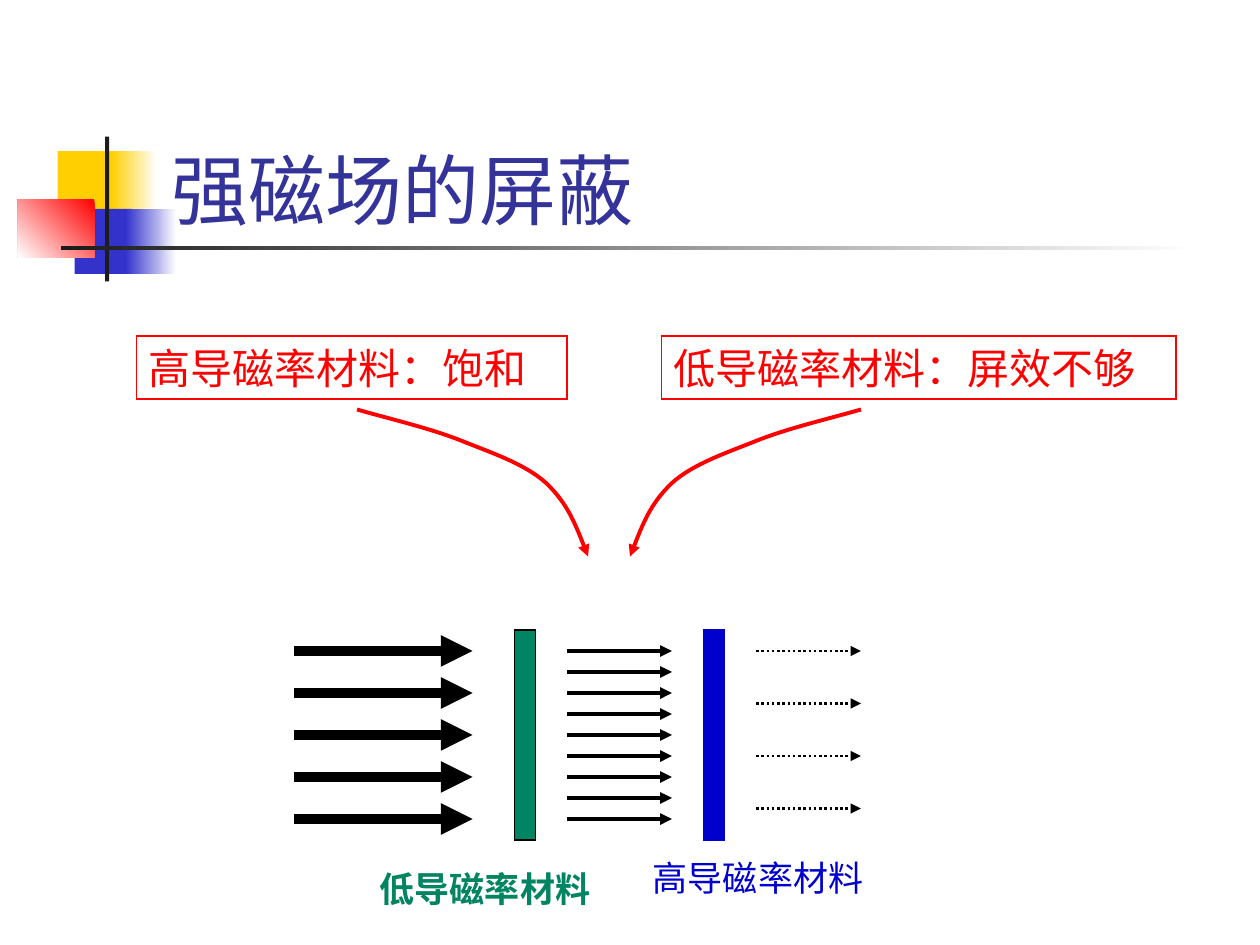
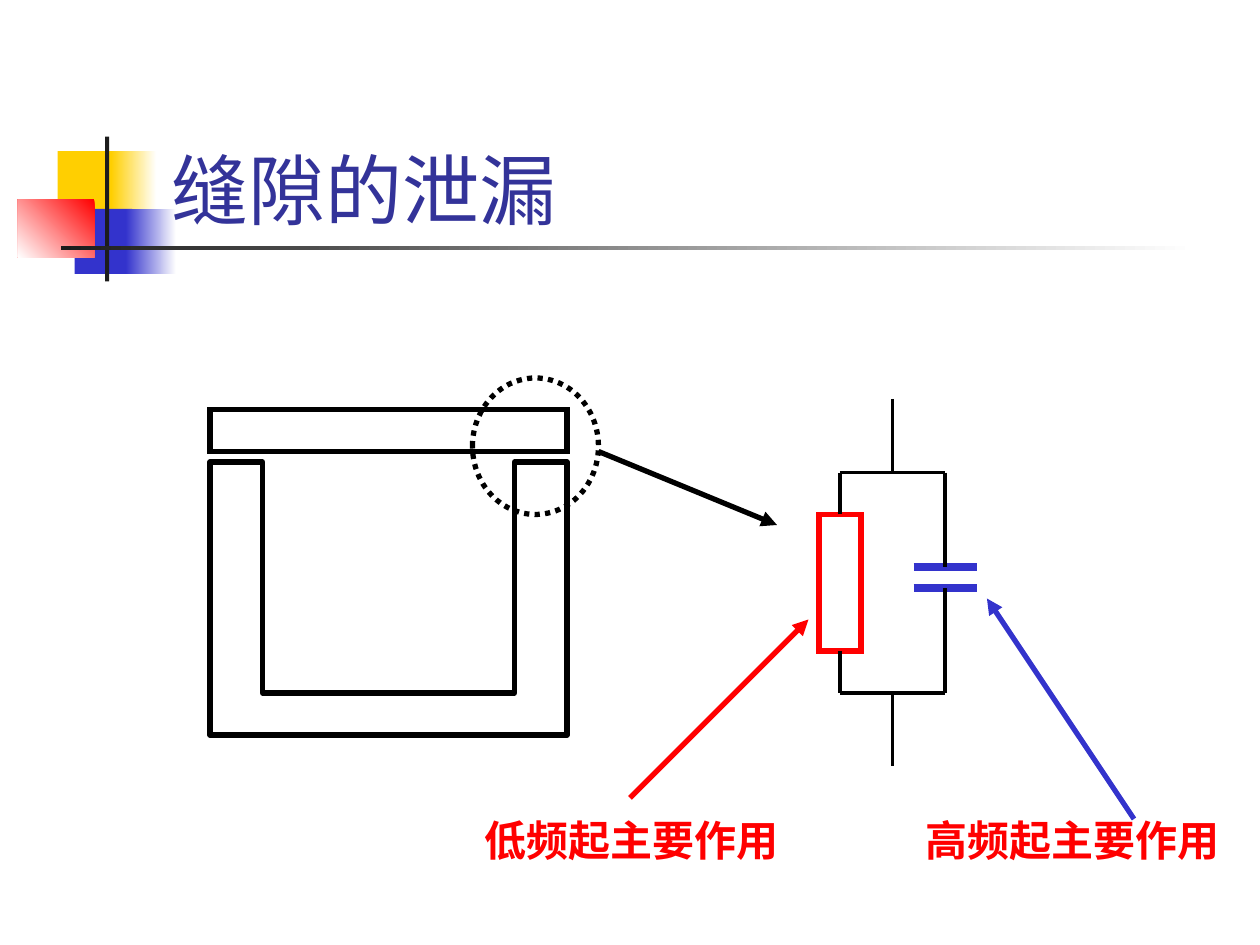
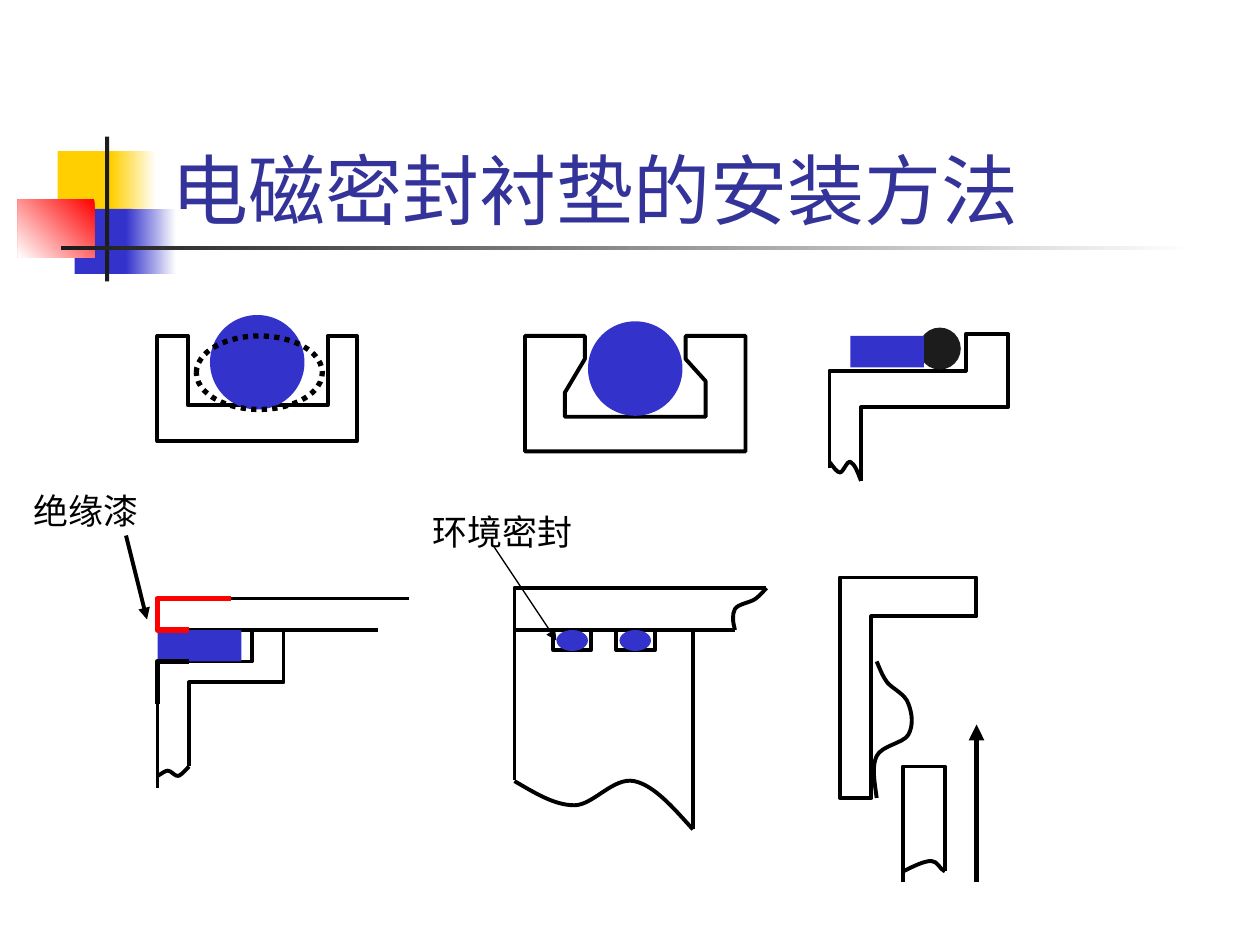
import lxml.etree
import pptx
import pptx.dml.color
import pptx.enum.dml
import pptx.enum.shapes
import pptx.enum.text
import pptx.oxml.ns
import pptx.util

# Grid: the slide is 120 columns by 90 rows
WIDTH, HEIGHT = pptx.util.Inches(10), pptx.util.Inches(7.5)
COLUMNS = 120
CELL = WIDTH // COLUMNS

BLACK, WHITE, RED, BLUE = "000000", "FFFFFF", "FF0000", "3333CC"
YELLOW, CHARCOAL, NAVY = "FFCF01", "1C1C1C", "333399"
GREEN, ROYAL = "008461", "0000CC"
HEADING_FONT, NOTE_FONT = "Cabin", "Times New Roman"

RECT = pptx.enum.shapes.MSO_SHAPE.RECTANGLE
OVAL = pptx.enum.shapes.MSO_SHAPE.OVAL
STRAIGHT = pptx.enum.shapes.MSO_CONNECTOR.STRAIGHT
DOTTED = pptx.enum.dml.MSO_LINE.ROUND_DOT
TOP, BOTTOM = 0, 2
qn = pptx.oxml.ns.qn


def cells(*counts):
    return [round(count * CELL) for count in counts]


def paint(target, colour):
    target.rgb = pptx.dml.color.RGBColor.from_string(colour)


def set_all(target, values):
    for name, value in values.items():
        setattr(target, name, value)


def style_line(shape, colour, width, dash=None, join="a:round", arrow=False):
    if colour is None:
        shape.line.fill.background()
        return
    shape.line.fill.solid()
    paint(shape.line.fill.fore_color, colour)
    shape.line.width = pptx.util.Pt(width)
    if dash:
        shape.line.dash_style = dash
    outline = shape.line._get_or_add_ln()
    lxml.etree.SubElement(outline, qn(join))
    if arrow:
        lxml.etree.SubElement(outline, qn("a:tailEnd"), type="triangle")


def write(frame, text, colour, size, font=HEADING_FONT, bold=False, anchor="TOP"):
    set_all(frame, {
        "word_wrap": True,
        "auto_size": pptx.enum.text.MSO_AUTO_SIZE.NONE,
        "vertical_anchor": pptx.enum.text.MSO_ANCHOR[anchor],
        "margin_left": pptx.util.Inches(0.1),
        "margin_right": pptx.util.Inches(0.1),
        "margin_top": pptx.util.Inches(0.05),
        "margin_bottom": pptx.util.Inches(0.05),
    })
    frame.text = text
    paragraph = frame.paragraphs[0]
    paragraph.alignment = pptx.enum.text.PP_ALIGN.LEFT
    set_all(paragraph.font, {"name": font, "size": pptx.util.Pt(size), "bold": bold})
    paint(paragraph.font.color, colour)


class Region:
    """Draws on a slide in grid cells counted from the region's own corner."""

    def __init__(self, slide, column=0, row=0):
        self.shapes = slide.shapes
        self.column, self.row = column, row

    def place(self, column, row):
        return cells(self.column + column, self.row + row)

    def block(self, box, fill=None, line=None, width=0.75, dash=None, kind=RECT):
        shape = self.shapes.add_shape(kind, *self.place(*box[:2]), *cells(*box[2:]))
        shape.shadow.inherit = False
        if fill:
            shape.fill.solid()
            paint(shape.fill.fore_color, fill)
        else:
            shape.fill.background()
        style_line(shape, line, width, dash, "a:miter")
        return shape

    def fade(self, box, start, end, angle=0):
        shape = self.block(box)
        shape.fill.gradient()
        shape.fill.gradient_angle = angle
        for stop, colour in zip(shape.fill.gradient_stops, (start, end)):
            paint(stop.color, colour)
        return shape

    def outline(self, points, colour=BLACK, width=2.25, close=False, curved=False,
                arrow=False):
        start, *rest = [self.place(*point) for point in points]
        builder = self.shapes.build_freeform(*start, scale=1.0)
        builder.add_line_segments(rest, close=close)
        shape = builder.convert_to_shape()
        shape.shadow.inherit = False
        shape.fill.background()
        style_line(shape, colour, width, arrow=arrow)
        if curved:
            bend(shape)
        return shape

    def curve(self, points, **style):
        return self.outline(points, curved=True, **style)

    def line(self, start, end, colour=BLACK, width=2.25, dash=None, arrow=False):
        connector = self.shapes.add_connector(
            STRAIGHT, *self.place(*start), *self.place(*end))
        style_line(connector, colour, width, dash, arrow=arrow)
        lxml.etree.SubElement(connector._element.spPr, qn("a:effectLst"))
        return connector

    def label(self, box, text, colour, size, **style):
        textbox = self.shapes.add_textbox(*self.place(*box[:2]), *cells(*box[2:]))
        write(textbox.text_frame, text, colour, size, **style)


def bend(shape):
    """Turn every three line segments into one Bezier segment."""
    segments = list(shape._element.iter(qn("a:lnTo")))
    for first in range(0, len(segments), 3):
        parent = segments[first].getparent()
        bezier = lxml.etree.SubElement(parent, qn("a:cubicBezTo"))
        for segment in segments[first:first + 3]:
            bezier.append(segment[0])
            parent.remove(segment)


# Shared parts
def decorate_master(presentation, slide):
    """Draw the corner squares and the title rule, then move them to the master."""
    corner = Region(slide)
    parts = [
        corner.block((5.5, 14.4, 5.8, 6.2), YELLOW),
        corner.fade((10.6, 14.4, 4.3, 6.2), YELLOW, WHITE),
        corner.block((7.1, 19.9, 5.5, 6.2), BLUE),
        corner.fade((12, 19.9, 4.8, 6.2), BLUE, WHITE),
        corner.fade((1.7, 19, 7.3, 5.5), RED, WHITE, 225),
        corner.block((10, 13, 0.4, 13.8), CHARCOAL),
        corner.fade((5.8, 23.4, 108, 0.4), CHARCOAL, WHITE),
    ]
    master = presentation.slide_master
    for index, part in enumerate(parts, start=2):
        master.shapes._spTree.insert(index, part._element)


def add_slide(presentation, title):
    slide = presentation.slides.add_slide(presentation.slide_layouts[5])
    heading = slide.shapes.title
    set_all(heading, dict(zip(("left", "top", "width", "height"),
                              cells(15.1, 8, 102.2, 15))))
    write(heading.text_frame, title, NAVY, 44, anchor="BOTTOM")
    return slide


# Slide 1
def draw_callouts(region):
    for box, text in (((0, 0, 41, 6), "高导磁率材料：饱和"),
                      ((50, 0, 49, 6), "低导磁率材料：屏效不够")):
        callout = region.block(box, line=RED)
        write(callout.text_frame, text, RED, 24)
    pointer = [(21, 7), (24.5, 8), (28, 8.8), (31, 10), (34, 11.2),
               (37, 12.2), (39, 14), (41, 15.9), (42, 18.4), (43, 21)]
    mirrored = [(90 - column, row) for column, row in pointer]
    for points in (pointer, mirrored):
        region.curve(points, colour=RED, arrow=True)


def draw_shields(region):
    region.block((21, 0, 2, 20), GREEN, BLACK)
    region.block((39, 0, 2, 20), ROYAL, ROYAL)
    # Field lines: start, end, count, row step, width, dash
    for start, end, count, step, width, dash in (
            (0, 17, 5, 4, 6, None), (26, 36, 9, 2, 2.25, None),
            (44, 54, 4, 5, 1.5, DOTTED)):
        for index in range(count):
            row = 2 + index * step
            region.line((start, row), (end, row), width=width, dash=dash, arrow=True)
    region.label((7, 22, 24, 5.3), "低导磁率材料", GREEN, 20, bold=True)
    region.label((33, 21, 24, 5.3), "高导磁率材料", ROYAL, 20)


# Slide 2
def draw_enclosure(region):
    region.outline([(5, 5), (0, 5), (0, 31), (34, 31), (34, 5), (29, 5),
                    (29, 27), (5, 27)], width=3, close=True)
    region.block((0, 0, 34, 4), line=BLACK, width=3)
    region.block((25, -3, 12, 13), line=BLACK, width=3, dash=DOTTED, kind=OVAL)
    region.line((37, 4), (54, 11), width=3, arrow=True)


def draw_circuit(region):
    resistor = region.block((0, 11, 4, 13), line=RED, width=3)
    for row in (16, 18):
        region.line((9, row), (15, row), BLUE, 4.5)
    for start, end in (((12, 7), (12, 16)), ((12, 18), (12, 28)),
                       ((2, 7), (12, 7)), ((2, 28), (12, 28)),
                       ((7, 0), (7, 7)), ((7, 28), (7, 35))):
        region.line(start, end)
    for side, start, end in ((TOP, 11, 7), (BOTTOM, 24, 28)):
        region.line((2, start), (2, end)).begin_connect(resistor, side)


def draw_frequency_notes(region):
    for column, text in ((0, "低频起主要作用"), (42, "高频起主要作用")):
        region.label((column, 0, 32, 6), text, RED, 24, bold=True)
    region.line((15, -1), (32, -18), RED, 3, arrow=True)
    region.line((63, 1), (49, -20), BLUE, 3, arrow=True)


# Slide 3
def draw_groove(region):
    region.outline([(0, 0), (0, 10), (19, 10), (19, 0), (16.2, 0), (16.2, 6.6),
                    (2.9, 6.6), (2.9, 0)], close=True)
    region.block((5, -2, 9, 9), BLUE, kind=OVAL)
    region.block((3.7, 0, 12, 7), line=BLACK, width=3, dash=DOTTED, kind=OVAL)


def draw_dovetail(region):
    region.outline([(0, 0), (0, 11), (21, 11), (21, 0), (15.3, 0), (15.3, 2.2),
                    (17.2, 4.3), (17.2, 7.7), (3.8, 7.7), (3.8, 5.4), (5.7, 2.2),
                    (5.7, 0)], close=True)
    region.block((6, -1.4, 9, 9), BLUE, kind=OVAL)


def draw_ledge(region):
    region.outline([(0, 12.8), (0, 3.5), (13, 3.5), (13, 0), (17, 0), (17, 7),
                    (3, 7), (3, 14)])
    region.block((8.5, -0.6, 4, 4), CHARCOAL, kind=OVAL)
    region.block((2, 0.2, 7, 3), BLUE)
    region.curve([(0, 12.2), (0.4, 12.7), (0.7, 13.2), (1, 13.2), (1.3, 13.2),
                  (1.7, 12), (2, 12.2), (2.4, 12.4), (2.7, 13.2), (3, 14)])


def draw_painted_joint(region):
    region.outline([(24, 0), (0, 0), (0, 3), (21, 3)])
    region.outline([(9, 3), (9, 6), (0, 6), (0, 18)])
    region.outline([(12, 3), (12, 8), (3, 8), (3, 16)])
    region.block((0, 3, 8, 3), BLUE)
    region.outline([(7, 0), (0, 0), (0, 3), (3, 3)], RED, 3)
    region.outline([(0, 10), (0, 6), (3, 6)], width=3)
    region.curve([(0, 16.9), (0.4, 16.7), (0.7, 16.4), (1, 16.4), (1.3, 16.4),
                  (1.7, 17), (2, 16.9), (2.3, 16.8), (2.6, 16.4), (3, 16)])
    region.label((-13, -11, 13, 5.3), "绝缘漆", BLACK, 20, font=NOTE_FONT)
    region.line((-3, -6), (-1, 2), arrow=True)


def draw_double_seal(region):
    region.outline([(24, 0), (0, 0), (0, 4), (21, 4)])
    region.outline([(0, 18.3), (0, 4), (3.7, 4), (3.7, 5.9), (7.3, 5.9), (7.3, 4),
                    (9.7, 4), (9.7, 5.9), (13.4, 5.9), (13.4, 4), (17, 4), (17, 23)])
    for column in (4, 10):
        region.block((column, 4, 3, 2), BLUE, kind=OVAL)
    region.curve([(0, 18.4), (1.9, 19.5), (3.8, 20.7), (5.7, 20.7), (7.5, 20.7),
                  (9.4, 18), (11.4, 18.4), (13.3, 18.8), (15.1, 20.9), (17, 23)])
    region.curve([(24, 0), (23.8, 0.2), (23.5, 0.6), (23, 1), (22.5, 1.4),
                  (21.3, 1.5), (21, 2), (20.7, 2.5), (20.8, 3.3), (21, 4)])
    region.label((-9, -8, 16, 5.3), "环境密封", BLACK, 20, font=NOTE_FONT)
    region.line((-2, -4), (4, 5), width=0.75, arrow=True)


def draw_spring_finger(region):
    region.outline([(13, 0), (0, 0), (0, 21), (3, 21), (3, 3.7), (13, 3.7)], close=True)
    region.curve([(3.5, 21), (3.3, 19.5), (3, 18), (3.5, 17), (4, 16), (6, 15.8),
                  (6.5, 15), (7, 14.1), (6.9, 13), (6.5, 12), (6.2, 11.1),
                  (5, 10.6), (4.5, 10), (4, 9.3), (3.8, 8.7), (3.5, 8)])
    region.outline([(6, 29), (6, 18), (10, 18), (10, 28)])
    region.curve([(6, 28), (7, 27.5), (8, 27), (8.7, 27), (9.3, 27), (9.5, 27.8),
                  (10, 28)])
    region.line((13, 29), (13, 14), width=3, arrow=True)


SLIDES = (
    ("强磁场的屏蔽", ((draw_callouts, 13, 32), (draw_shields, 28, 60))),
    ("缝隙的泄漏", ((draw_enclosure, 20, 39), (draw_circuit, 78, 38),
               (draw_frequency_notes, 45, 77))),
    ("电磁密封衬垫的安装方法", (
        (draw_groove, 15, 32), (draw_dovetail, 50, 32), (draw_ledge, 79, 31.8),
        (draw_painted_joint, 15, 57), (draw_double_seal, 49, 56),
        (draw_spring_finger, 80, 55))),
)


def main():
    presentation = pptx.Presentation()
    set_all(presentation, {"slide_width": WIDTH, "slide_height": HEIGHT})
    for number, (title, drawings) in enumerate(SLIDES):
        slide = add_slide(presentation, title)
        if number == 0:
            decorate_master(presentation, slide)
        for draw, column, row in drawings:
            draw(Region(slide, column, row))
    presentation.save("out.pptx")


if __name__ == "__main__":
    main()
